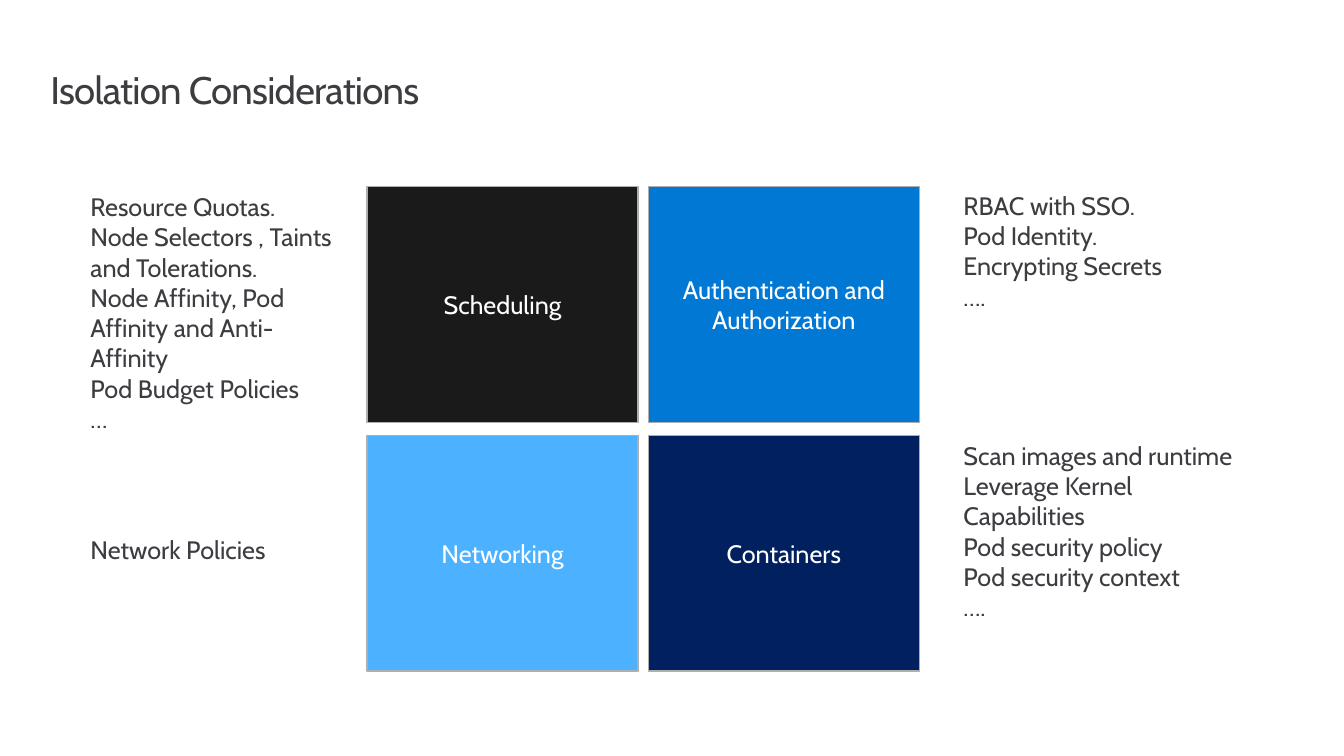
from pptx import Presentation
from pptx.dml.color import RGBColor
from pptx.enum.shapes import MSO_SHAPE
from pptx.enum.text import MSO_ANCHOR, PP_ALIGN
from pptx.util import Cm, Pt

CHARCOAL = RGBColor(0x3C, 0x3C, 0x41)
WHITE = RGBColor(0xFF, 0xFF, 0xFF)
BORDER = RGBColor(0xAE, 0xAE, 0xAE)
BLACK = RGBColor(0x1A, 0x1A, 0x1A)
BLUE = RGBColor(0x00, 0x78, 0xD4)
SKY = RGBColor(0x4C, 0xB2, 0xFF)
NAVY = RGBColor(0x00, 0x20, 0x60)

TILE_LEFT, TILE_TOP = 9.25, 4.7
TILE_WIDTH, TILE_HEIGHT = 6.83, 5.94
COLUMN_STEP, ROW_STEP = 7.09, 6.27

TILES = [
    [("Scheduling", BLACK), ("Authentication and Authorization", BLUE)],
    [("Networking", SKY), ("Containers", NAVY)],
]
NOTES = [
    (2.03, 4.7, 6.58, 6.4, [
        "Resource Quotas.",
        "Node Selectors , Taints and Tolerations.",
        "Node Affinity, Pod Affinity and Anti-Affinity",
        "Pod Budget Policies\v…",
    ]),
    (2.03, 13.35, 6.58, 1.03, ["Network Policies"]),
    (24.03, 4.67, 7.49, 4.88, [
        "RBAC with SSO.",
        "Pod Identity.",
        "Encrypting Secrets\v….",
    ]),
    (24.03, 10.97, 7.49, 4.11, [
        "Scan images and runtime",
        "Leverage Kernel Capabilities",
        "Pod security policy",
        "Pod security context\v….",
    ]),
]


def apply(target, values):
    for name, value in values.items():
        setattr(target, name, value)


class SlideBuilder:
    font = {"name": "Cabin", "size": Pt(18)}

    def __init__(self, slide):
        self.slide = slide

    def fill_text(self, frame, lines, color, alignment=PP_ALIGN.LEFT, **font):
        frame.word_wrap = True
        frame.text = "\n".join(lines)
        for paragraph in frame.paragraphs:
            paragraph.alignment = alignment
            for run in paragraph.runs:
                apply(run.font, {**self.font, **font})
                run.font.color.rgb = color

    def title(self, wording):
        heading = self.slide.shapes.title
        apply(heading, {"left": Cm(1.27), "top": Cm(1.73),
                        "width": Cm(31.39), "height": Cm(1.12)})
        frame = heading.text_frame
        apply(frame, {"margin_left": 0, "margin_top": 0, "margin_right": 0,
                      "margin_bottom": 0, "vertical_anchor": MSO_ANCHOR.TOP})
        self.fill_text(frame, [wording], CHARCOAL, size=Pt(27.4))
        paragraph = frame.paragraphs[0]
        paragraph.line_spacing = Pt(31.4)
        paragraph.runs[0].font._element.set("spc", "-50")

    def tile(self, left, top, label, color):
        tile = self.slide.shapes.add_shape(
            MSO_SHAPE.RECTANGLE, Cm(left), Cm(top), Cm(TILE_WIDTH), Cm(TILE_HEIGHT))
        tile.shadow.inherit = False
        tile.fill.solid()
        tile.fill.fore_color.rgb = color
        tile.line.color.rgb = BORDER
        tile.line.width = Pt(0.85)
        tile.text_frame.vertical_anchor = MSO_ANCHOR.MIDDLE
        self.fill_text(tile.text_frame, [label], WHITE, PP_ALIGN.CENTER)

    def note(self, left, top, width, height, lines):
        note = self.slide.shapes.add_textbox(Cm(left), Cm(top), Cm(width), Cm(height))
        self.fill_text(note.text_frame, lines, CHARCOAL)


def main():
    deck = Presentation()
    apply(deck, {"slide_width": Cm(33.87), "slide_height": Cm(19.05)})
    builder = SlideBuilder(deck.slides.add_slide(deck.slide_layouts[5]))
    builder.title("Isolation Considerations")
    for row, tiles in enumerate(TILES):
        for column, (label, color) in enumerate(tiles):
            builder.tile(TILE_LEFT + column * COLUMN_STEP,
                         TILE_TOP + row * ROW_STEP, label, color)
    for note in NOTES:
        builder.note(*note)
    deck.save("out.pptx")


if __name__ == "__main__":
    main()
